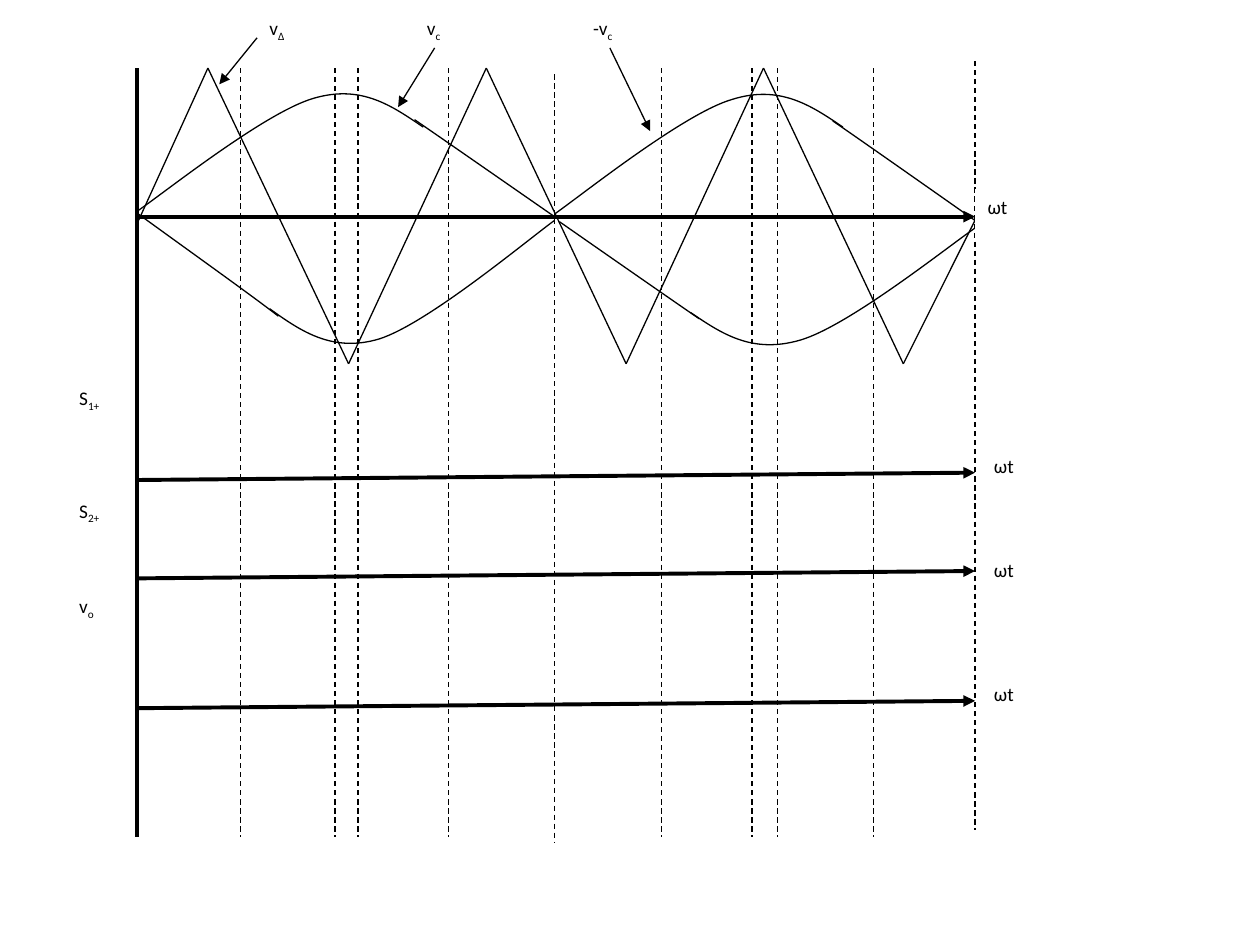
from dataclasses import dataclass

from lxml.etree import SubElement
from pptx import Presentation
from pptx.dml.color import RGBColor
from pptx.enum.dml import MSO_LINE
from pptx.enum.shapes import MSO_CONNECTOR
from pptx.enum.text import MSO_ANCHOR, PP_ALIGN
from pptx.oxml.ns import qn
from pptx.util import Pt


@dataclass(frozen=True)
class Theme:
    ink: RGBColor = RGBColor(0, 0, 0)
    paper: RGBColor = RGBColor(255, 255, 255)
    font: str = "Calibri"
    label_size: float = 11
    thin: float = 0.75
    thick: float = 2.25


@dataclass(frozen=True)
class Box:
    left: float
    top: float
    width: float
    height: float

    def point(self, x, y):
        return Pt(self.left + x), Pt(self.top + y)


THEME = Theme()
PLOT = Box(79.2, 38.9, 478, 439.2)
SWITCH_LABELS = Box(38.2, 217.4, 33.8, 148.4)

# All points below are measured from the top left of the plot
CARRIER_PEAK, CARRIER_ZERO, CARRIER_TROUGH = 0, 87, 169
CARRIER_X = [0, 39.6, 120, 198.7, 278.6, 357.1, 437, 478]
ZERO_LINE = 84.9
AXIS_STARTS = [235.4, 291.6, 365.8]
AXIS_RISE = 4.2
GUIDE_X = [58.3, 112.3, 125.3, 177.1, 298.8, 350.6, 365, 419.8]
GUIDE_SHIFTS = {237.6: 3.6, 478: -4}

# Bezier points of the reference waves: a start, then three for each curve
REFERENCE_WAVES = [
    [(162.7, 33.8), (144.7, 21.6), (127.4, 9.3), (100.1, 17.3),
     (72.7, 25.2), (16.6, 69.8), (0, 81.3)],
    [(237.6, 84.9), (204.5, 61.9), (171.4, 38.9), (157.7, 29.5)],
    [(402.5, 33.8), (384.5, 21.6), (366.5, 9.3), (339.1, 18),
     (311.8, 25.9), (254.9, 71.3), (237.6, 83.5)],
    [(478, 87.1), (444.2, 63.3), (410.4, 39.6), (396.7, 30.2)],
    [(0, 83.5), (33.8, 108), (67, 131.7), (79.9, 141.8)],
    [(74.9, 137.5), (92.9, 150.5), (110.9, 162.7), (137.5, 154.8),
     (164.9, 146.1), (221, 99.3), (237.6, 87.1)],
    [(240.5, 87.8), (273.6, 110.9), (306.7, 133.9), (320.4, 143.3)],
    [(315.4, 139.7), (333.4, 151.9), (350.6, 163.4), (378, 155.5),
     (405.4, 147.6), (461.5, 102.9), (478, 91.4)],
]

# Wave name and subscript, label left, pointer start and tip
CALLOUTS = [
    ("v", "Δ", 67.7, (67.7, -17.3), (46.1, 9.3)),
    ("v", "c", 157.7, (169.2, -11.5), (148.3, 22.3)),
    ("-v", "c", 252.7, (269.3, -11.5), (292.3, 36)),
]
CALLOUT_TOP = -33.1
TIME_LABELS = [(478, 69.1), (481.7, 217.4), (481.7, 276.5), (481.7, 347.7)]
SWITCH_ROWS = [("S", "1+", 0), ("S", "2+", 64.1), ("v", "o", 118.8)]


def add_line(slide, box, start, end, weight=THEME.thin, dashed=False, arrow=False):
    connector = slide.shapes.add_connector(
        MSO_CONNECTOR.STRAIGHT, *box.point(*start), *box.point(*end))
    connector.line.color.rgb = THEME.ink
    connector.line.width = Pt(weight)
    if dashed:
        connector.line.dash_style = MSO_LINE.DASH
    if arrow:
        SubElement(connector.line._get_or_add_ln(), qn("a:tailEnd"), type="triangle")
    SubElement(connector._element.spPr, qn("a:effectLst"))


def add_curve(slide, box, points):
    start, *controls = [box.point(*point) for point in points]
    builder = slide.shapes.build_freeform(*start)
    builder.add_line_segments(controls, close=False)
    curve = builder.convert_to_shape()
    # Gather each three straight segments into one Bezier segment
    outline = next(curve._element.iter(qn("a:path")))
    segments = outline.findall(qn("a:lnTo"))
    for first in range(0, len(segments), 3):
        bezier = SubElement(outline, qn("a:cubicBezTo"))
        for segment in segments[first:first + 3]:
            bezier.append(segment[0])
            outline.remove(segment)
    curve.fill.background()
    curve.line.color.rgb = THEME.ink
    curve.line.width = Pt(THEME.thin)
    curve.shadow.inherit = False


def add_label(slide, box, x, y, width, symbol, subscript=""):
    label = slide.shapes.add_textbox(*box.point(x, y), Pt(width), Pt(29.5))
    label.fill.solid()
    label.fill.fore_color.rgb = THEME.paper
    frame = label.text_frame
    frame.word_wrap = True
    frame.vertical_anchor = MSO_ANCHOR.TOP
    paragraph = frame.paragraphs[0]
    paragraph.alignment = PP_ALIGN.LEFT
    paragraph.space_after = Pt(10)
    for text, baseline in ((symbol, None), (subscript, "-25000")):
        if not text:
            continue
        run = paragraph.add_run()
        run.text = text
        run.font.name = THEME.font
        run.font.size = Pt(THEME.label_size)
        run.font.color.rgb = THEME.ink
        if baseline:
            run.font._element.set("baseline", baseline)


def draw_waves(slide, box):
    # Triangular carrier
    levels = [CARRIER_ZERO]
    levels += [CARRIER_TROUGH if i % 2 else CARRIER_PEAK
               for i in range(len(CARRIER_X) - 2)]
    levels.append(CARRIER_ZERO)
    corners = list(zip(CARRIER_X, levels))
    for start, end in zip(corners, corners[1:]):
        add_line(slide, box, start, end)
    # Reference wave and its inverse
    for points in REFERENCE_WAVES:
        add_curve(slide, box, points)


def draw_axes(slide, box):
    # Time axes
    for y in AXIS_STARTS:
        add_line(slide, box, (0, y), (box.width, y - AXIS_RISE),
                 THEME.thick, arrow=True)
    add_line(slide, box, (0, ZERO_LINE), (box.width, ZERO_LINE),
             THEME.thick, arrow=True)
    # Vertical axis
    add_line(slide, box, (-0.7, 0), (-0.7, box.height), THEME.thick)
    # Switching instants
    guides = dict.fromkeys(GUIDE_X, 0) | GUIDE_SHIFTS
    for x, shift in guides.items():
        add_line(slide, box, (x, shift), (x, box.height + shift), dashed=True)
    for x, y in TIME_LABELS:
        add_label(slide, box, x, y, 27.4, "ωt")


def draw_callouts(slide, box):
    for symbol, subscript, x, start, tip in CALLOUTS:
        add_label(slide, box, x, CALLOUT_TOP, 34.6, symbol, subscript)
        add_line(slide, box, start, tip, arrow=True)


def draw_switch_labels(slide, box):
    for symbol, subscript, y in SWITCH_ROWS:
        add_label(slide, box, 0, y, box.width, symbol, subscript)


def main():
    deck = Presentation()
    deck.slide_width, deck.slide_height = Pt(720), Pt(540)
    slide = deck.slides.add_slide(deck.slide_layouts[6])
    draw_waves(slide, PLOT)
    draw_axes(slide, PLOT)
    draw_callouts(slide, PLOT)
    draw_switch_labels(slide, SWITCH_LABELS)
    deck.save("out.pptx")


if __name__ == "__main__":
    main()
